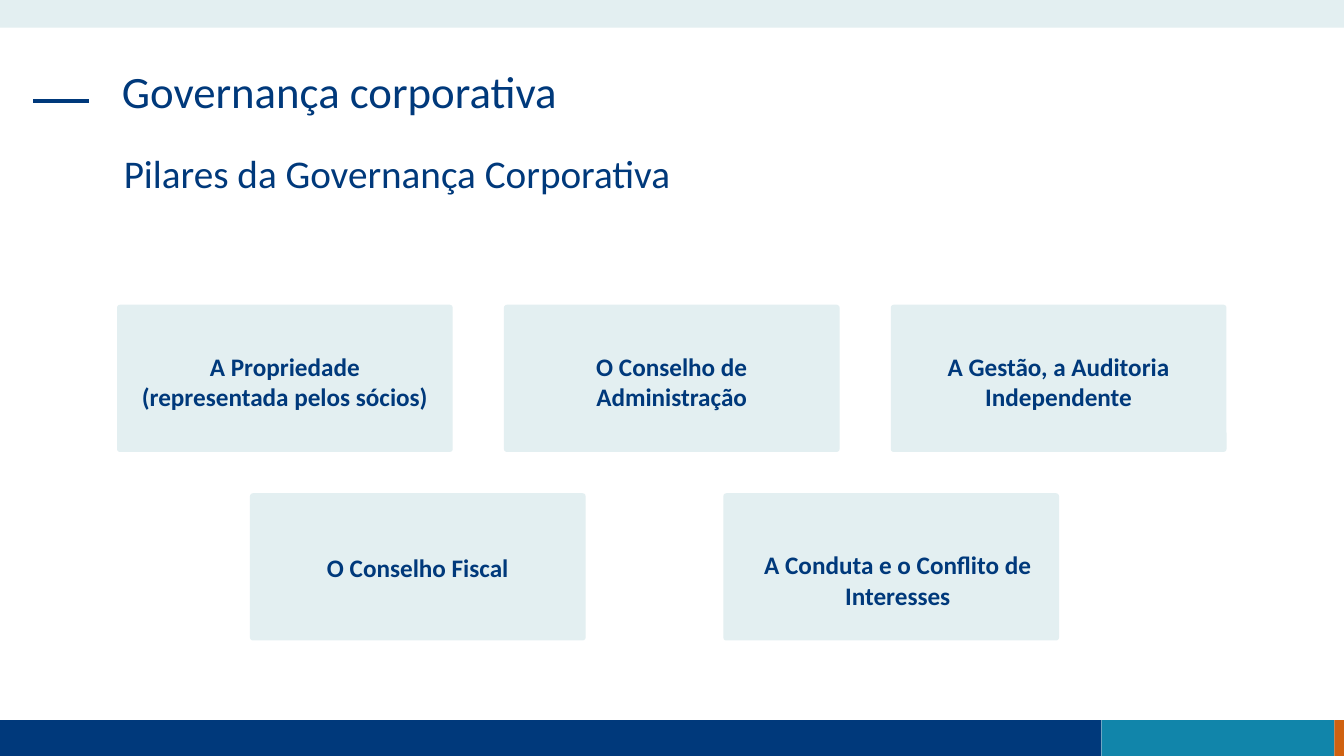
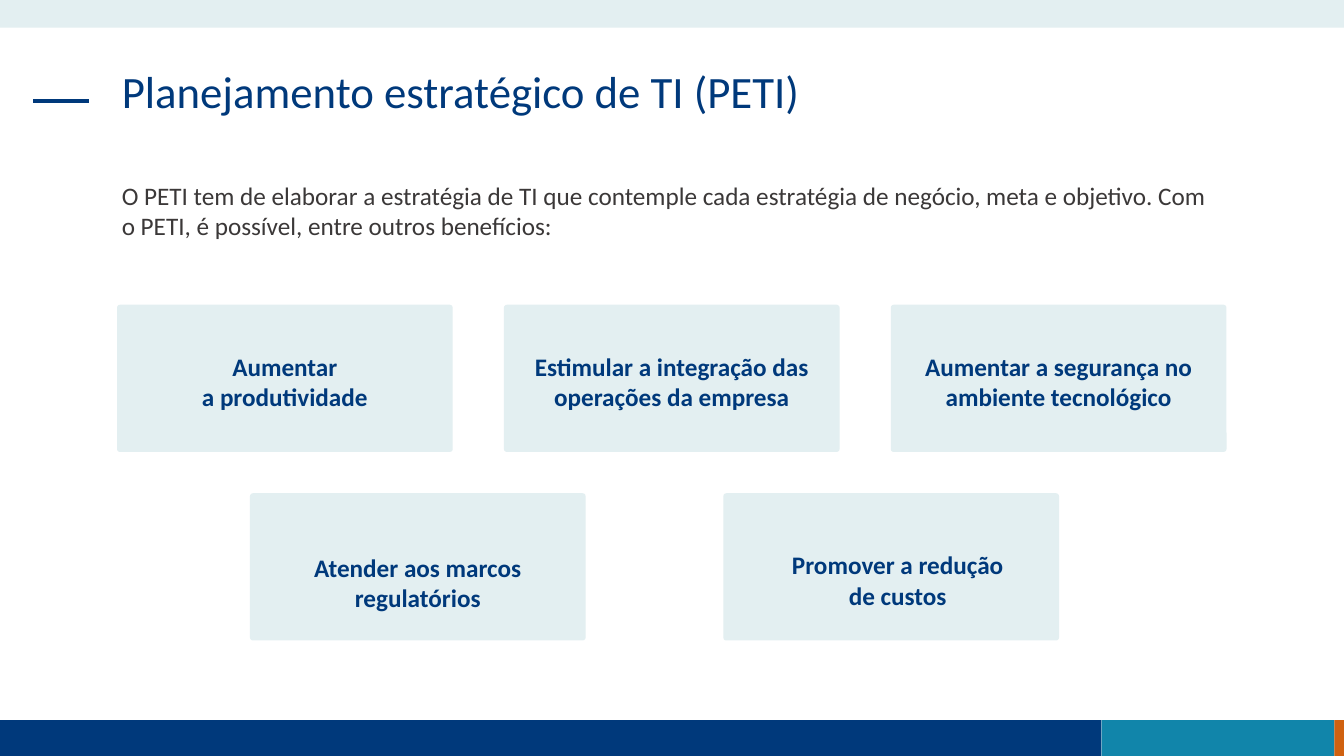
import pptx
import pptx.dml.color
import pptx.enum.shapes
import pptx.enum.text
import pptx.oxml.ns
import pptx.util
from lxml import etree

Cm = pptx.util.Cm
Pt = pptx.util.Pt
RGBColor = pptx.dml.color.RGBColor
Shape = pptx.enum.shapes.MSO_SHAPE
Align = pptx.enum.text.PP_ALIGN
Anchor = pptx.enum.text.MSO_ANCHOR

NAVY = RGBColor(0x00, 0x39, 0x7B)
TEAL = RGBColor(0x11, 0x85, 0xAA)
ORANGE = RGBColor(0xD0, 0x61, 0x10)
PALE = RGBColor(0xE3, 0xEF, 0xF1)
CHARCOAL = RGBColor(0x3B, 0x38, 0x38)

WIDTH, HEIGHT = 33.87, 19.05
FOOTER_TOP = 18.15
FOOTER_BANDS = ((NAVY, 27.76), (TEAL, 5.87), (ORANGE, 0.24))
CARD_WIDTH, CARD_HEIGHT = 8.46, 3.71
CARD_INSET = 0.5
UPPER_TOP, UPPER_LEFT, UPPER_PITCH = 7.68, 2.95, 9.75
LOWER_TOP, LOWER_LEFT, LOWER_PITCH = 12.43, 6.3, 11.93
UPPER_TEXT_TOP = 1.14
LOWER_TEXT = ((1.47, 0), (1.4, 0.33))


class Deck:
    font_name = "Calibri"

    def __init__(self):
        self.presentation = pptx.Presentation()
        self.presentation.slide_width = Cm(WIDTH)
        self.presentation.slide_height = Cm(HEIGHT)
        self.slide = None

    def add_slide(self, title):
        self.slide = self.presentation.slides.add_slide(self.presentation.slide_layouts[6])
        left = 0
        for color, width in FOOTER_BANDS:
            self.block(left, FOOTER_TOP, width, HEIGHT - FOOTER_TOP, color)
            left += width
        self.block(0, 0, WIDTH, 0.7, PALE)
        self.rule(0.84, 2.24, 2.54)
        self.text(title, 2.82, 1.63, 28.19, 2.39, 32, line_spacing=0.9)

    def block(self, left, top, width, height, color, kind=Shape.RECTANGLE):
        shape = self.slide.shapes.add_shape(kind, Cm(left), Cm(top), Cm(width), Cm(height))
        shape.shadow.inherit = False
        shape.fill.solid()
        shape.fill.fore_color.rgb = color
        shape.line.fill.background()
        return shape

    def rule(self, start, end, top):
        connector = self.slide.shapes.add_connector(
            pptx.enum.shapes.MSO_CONNECTOR.STRAIGHT, Cm(start), Cm(top), Cm(end), Cm(top))
        connector.line.color.rgb = NAVY
        connector.line.width = Pt(3)
        etree.SubElement(connector._element.spPr, pptx.oxml.ns.qn("a:effectLst"))

    def fill_text(self, frame, text, size, color=NAVY, bold=False, align=Align.LEFT, line_spacing=1.0):
        frame.word_wrap = True
        frame.vertical_anchor = Anchor.TOP
        frame.text = text
        for paragraph in frame.paragraphs:
            paragraph.alignment = align
            paragraph.line_spacing = line_spacing
            paragraph.font.name = self.font_name
            paragraph.font.size = Pt(size)
            paragraph.font.bold = bold
            paragraph.font.color.rgb = color

    def text(self, text, left, top, width, height, size, **style):
        box = self.slide.shapes.add_textbox(Cm(left), Cm(top), Cm(width), Cm(height))
        self.fill_text(box.text_frame, text, size, **style)

    def card(self, text, left, top, text_top, indent=0):
        shape = self.block(left, top, CARD_WIDTH, CARD_HEIGHT, PALE, Shape.ROUNDED_RECTANGLE)
        shape.adjustments[0] = 0.02
        frame = shape.text_frame
        frame.margin_left = Cm(CARD_INSET + indent)
        frame.margin_right = Cm(CARD_INSET)
        frame.margin_top = Cm(text_top)
        frame.margin_bottom = 0
        self.fill_text(frame, text, 18, bold=True, align=Align.CENTER)

    def cards(self, upper, lower):
        for column, text in enumerate(upper):
            self.card(text, UPPER_LEFT + column * UPPER_PITCH, UPPER_TOP, UPPER_TEXT_TOP)
        for column, (text, (text_top, indent)) in enumerate(zip(lower, LOWER_TEXT)):
            self.card(text, LOWER_LEFT + column * LOWER_PITCH, LOWER_TOP, text_top, indent)


def main():
    deck = Deck()

    deck.add_slide("Governança corporativa")
    deck.text("Pilares da Governança Corporativa", 2.87, 3.78, 28.17, 1.5, 28, line_spacing=0.9)
    deck.cards(
        ("A Propriedade (representada pelos sócios)",
         "O Conselho de Administração",
         "A Gestão, a Auditoria Independente"),
        ("O Conselho Fiscal",
         "A Conduta e o Conflito de Interesses"))

    deck.add_slide("Planejamento estratégico de TI (PETI)")
    deck.text(
        "O PETI tem de elaborar a estratégia de TI que contemple cada estratégia de negócio, "
        "meta e objetivo. Com o PETI, é possível, entre outros benefícios:",
        2.82, 4.42, 28.19, 1.8, 18, color=CHARCOAL)
    deck.cards(
        ("Aumentar\na produtividade",
         "Estimular a integração das operações da empresa",
         "Aumentar a segurança no ambiente tecnológico"),
        ("Atender aos marcos regulatórios",
         "Promover a redução\nde custos"))

    deck.presentation.save("out.pptx")


if __name__ == "__main__":
    main()
